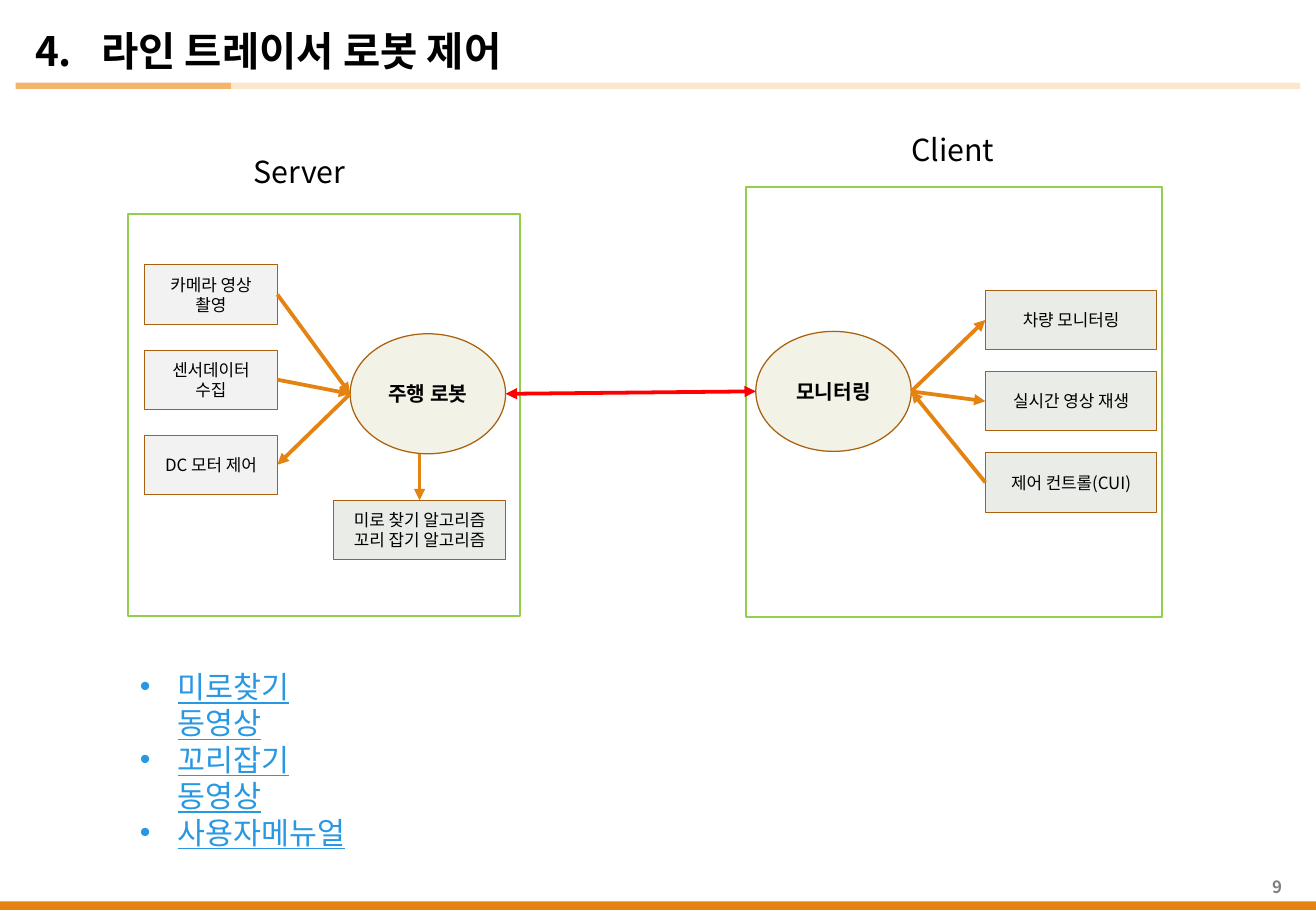
from lxml.etree import SubElement
from pptx import Presentation
from pptx.dml.color import RGBColor
from pptx.enum.shapes import MSO_CONNECTOR as Connector, MSO_SHAPE as Shape
from pptx.enum.text import MSO_ANCHOR as Anchor, MSO_AUTO_SIZE as AutoSize, PP_ALIGN as Align
from pptx.oxml.ns import qn
from pptx.util import Cm, Pt

FONT = "Noto Sans CJK KR"
COLORS = {
    "orange": "E48312", "amber": "F3B56C", "cream": "FBE6CE", "brown": "A9610D",
    "green": "91CF4D", "red": "FF0000", "blue": "2998E3", "black": "000000",
    "gray": "7F7F7F", "light": "F2F2F2", "sage": "EAECE7", "ivory": "F3F2E6",
}
NODE_HEIGHT = 1.24
HUB_SIZE = (3.25, 2.51)


def rgb(name):
    """Return the named colour."""
    return RGBColor.from_string(COLORS[name])


def add_run(paragraph, text, size, color="black", bold=False, underline=None):
    """Add one formatted run to a paragraph."""
    run = paragraph.add_run()
    run.text = text
    font = run.font
    font.size, font.bold, font.underline = Pt(size), bold, underline
    font.color.rgb = rgb(color)
    font.name = FONT
    SubElement(font._element, qn("a:ea")).set("typeface", FONT)


def write_lines(frame, lines, align=Align.LEFT, **style):
    """Write each line as a paragraph and return the paragraphs."""
    for index, line in enumerate(lines):
        paragraph = frame.add_paragraph() if index else frame.paragraphs[0]
        paragraph.alignment = align
        paragraph.space_before = Pt(0)
        add_run(paragraph, line, **style)
    return frame.paragraphs


def set_hanging(paragraph, indent):
    """Give a paragraph a hanging indent in centimetres."""
    properties = paragraph._p.get_or_add_pPr()
    properties.set("marL", str(Cm(indent)))
    properties.set("indent", str(-Cm(indent)))
    return properties


def add_box(slide, kind, box, fill=None, line=None, width=0.5):
    """Add a preset shape with optional fill and outline."""
    shape = slide.shapes.add_shape(kind, *map(Cm, box))
    shape.shadow.inherit = False
    if fill:
        shape.fill.solid()
        shape.fill.fore_color.rgb = rgb(fill)
    else:
        shape.fill.background()
    if line:
        shape.line.color.rgb = rgb(line)
        shape.line.width = Pt(width)
    else:
        shape.line.fill.background()
    return shape


def add_node(slide, kind, box, lines, fill, width=0.5, **style):
    """Add an outlined shape with centred text."""
    shape = add_box(slide, kind, box, fill, "brown", width)
    shape.text_frame.vertical_anchor = Anchor.MIDDLE
    write_lines(shape.text_frame, lines, Align.CENTER, **style)


def add_label(slide, box, text, align=Align.LEFT, wrap=False, **style):
    """Add a text box holding one line."""
    frame = slide.shapes.add_textbox(*map(Cm, box)).text_frame
    frame.word_wrap = wrap
    frame.vertical_anchor = Anchor.MIDDLE
    write_lines(frame, [text], align, **style)


def add_arrow(slide, start, end, color="orange", ends=("tailEnd",)):
    """Add a straight arrow between two points."""
    arrow = slide.shapes.add_connector(Connector.STRAIGHT, *map(Cm, (*start, *end)))
    arrow.line.color.rgb = rgb(color)
    arrow.line.width = Pt(2.25)
    for name in ends:
        SubElement(arrow.line._get_or_add_ln(), qn(f"a:{name}")).set("type", "triangle")
    SubElement(arrow._element.spPr, qn("a:effectLst"))


def add_region(slide, box, label, label_offset, label_width):
    """Draw a green frame with its heading above."""
    left, top, _, _ = box
    add_box(slide, Shape.RECTANGLE, box, line="green", width=1.25)
    dx, dy = label_offset
    add_label(slide, (left + dx, top + dy, label_width, 1.02), label, size=18)


def add_hub(slide, left, top, text):
    """Draw a hub ellipse and return its left and right points."""
    width, height = HUB_SIZE
    add_node(slide, Shape.OVAL, (left, top, width, height), [text], "ivory", 0.75, size=12, bold=True)
    middle = top + height / 2
    return (left, middle), (left + width, middle)


def add_server(slide, box):
    """Draw the server region and return the outer point of its hub."""
    left, top, _, _ = box
    add_region(slide, box, "Server", (2.38, -1.4), 2.49)
    hub_left, hub_top = left + 4.65, top + 2.51
    inner, outer = add_hub(slide, hub_left, hub_top, "주행 로봇")
    nodes = [(["카메라 영상", "촬영"], True), (["센서데이터", "수집"], True), (["DC 모터 제어"], False)]
    node_left, node_width = left + 0.35, 2.78
    for index, (lines, inward) in enumerate(nodes):
        node_top = top + 1.07 + index * 1.78
        add_node(slide, Shape.RECTANGLE, (node_left, node_top, node_width, NODE_HEIGHT), lines, "light", size=10)
        side = (node_left + node_width, node_top + NODE_HEIGHT / 2)
        add_arrow(slide, *((side, inner) if inward else (inner, side)))
    algorithm_left, algorithm_top, algorithm_width = left + 4.31, top + 5.99, 3.58
    add_node(slide, Shape.RECTANGLE, (algorithm_left, algorithm_top, algorithm_width, NODE_HEIGHT),
             ["미로 찾기 알고리즘", "꼬리 잡기 알고리즘"], "sage", size=10)
    center = algorithm_left + algorithm_width / 2
    add_arrow(slide, (center, hub_top + HUB_SIZE[1]), (center, algorithm_top))
    return outer


def add_client(slide, box):
    """Draw the client region and return the outer point of its hub."""
    left, top, _, _ = box
    add_region(slide, box, "Client", (3.2, -1.29), 2.29)
    outer, inner = add_hub(slide, left + 0.2, top + 3.02, "모니터링")
    nodes = [("차량 모니터링", False), ("실시간 영상 재생", False), ("제어 컨트롤(CUI)", True)]
    node_left = left + 5
    for index, (text, inward) in enumerate(nodes):
        node_top = top + 2.16 + index * 1.7
        add_node(slide, Shape.RECTANGLE, (node_left, node_top, 3.58, NODE_HEIGHT), [text], "sage", size=10)
        side = (node_left, node_top + NODE_HEIGHT / 2)
        add_arrow(slide, *((side, inner) if inward else (inner, side)))
    return outer


def place(placeholder, box, wrap):
    """Move a placeholder and return its text frame."""
    placeholder.left, placeholder.top, placeholder.width, placeholder.height = map(Cm, box)
    frame = placeholder.text_frame
    frame.auto_size = AutoSize.NONE
    frame.word_wrap = wrap
    frame.vertical_anchor = Anchor.TOP
    return frame


def add_header(slide, box):
    """Place the title and the two-tone rule below it."""
    left, top, width, height = box
    frame = place(slide.shapes.title, (left + 0.15, top, 14, 1.27), True)
    set_hanging(write_lines(frame, ["4.\t라인 트레이서 로봇 제어"], size=24, bold=True)[0], 1.38)
    rule_top, accent = top + height - 0.13, 4.5
    add_box(slide, Shape.RECTANGLE, (left, rule_top, accent, 0.13), "amber")
    add_box(slide, Shape.RECTANGLE, (left + accent, rule_top, width - accent, 0.13), "cream")


def add_links(slide, box):
    """Place the bulleted list of materials."""
    frame = place(slide.placeholders[1], box, True)
    lines = ["미로찾기 동영상", "꼬리잡기 동영상", "사용자메뉴얼"]
    for paragraph in write_lines(frame, lines, size=18, color="blue", underline=True):
        properties = set_hanging(paragraph, 0.79)
        SubElement(properties, qn("a:buFont")).set("typeface", "Arial")
        SubElement(properties, qn("a:buChar")).set("char", "•")


def add_footer(slide, box):
    """Draw the bottom bar and the page number above it."""
    left, top, width, _ = box
    add_box(slide, Shape.RECTANGLE, box, "orange")
    add_label(slide, (left + width - 6.89, top - 0.82, 6.43, 1.02), "9", Align.RIGHT, True,
              size=10, color="gray", bold=True)


def main():
    """Build and save the slide."""
    presentation = Presentation()
    presentation.slide_width, presentation.slide_height = Cm(27.51), Cm(19.05)
    slide = presentation.slides.add_slide(presentation.slide_layouts[1])
    add_footer(slide, (0, 18.85, 27.51, 0.18))
    add_header(slide, (0.33, 0.41, 26.85, 1.45))
    add_links(slide, (2.67, 13.84, 5.1, 4.1))
    server_point = add_server(slide, (2.67, 4.47, 8.2, 8.41))
    client_point = add_client(slide, (15.6, 3.91, 8.69, 8.99))
    add_arrow(slide, client_point, server_point, "red", ("headEnd", "tailEnd"))
    presentation.save("out.pptx")


if __name__ == "__main__":
    main()
